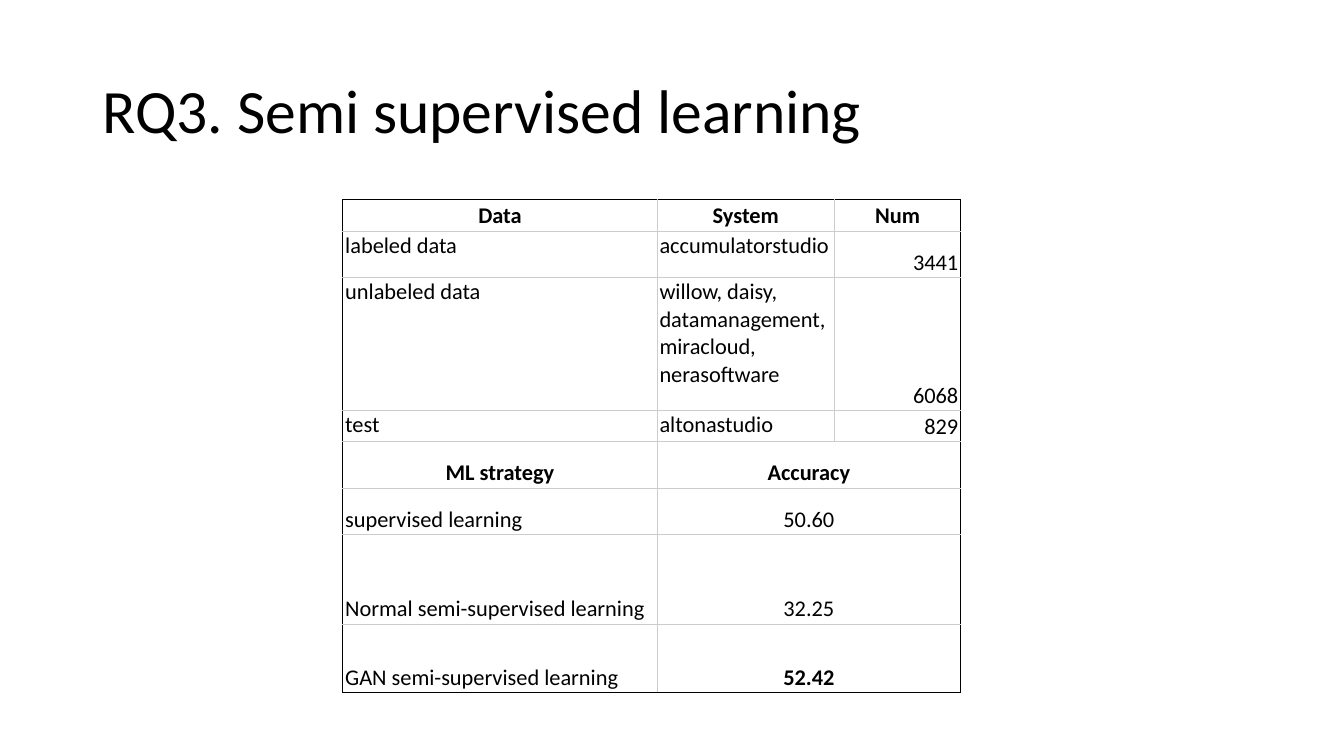
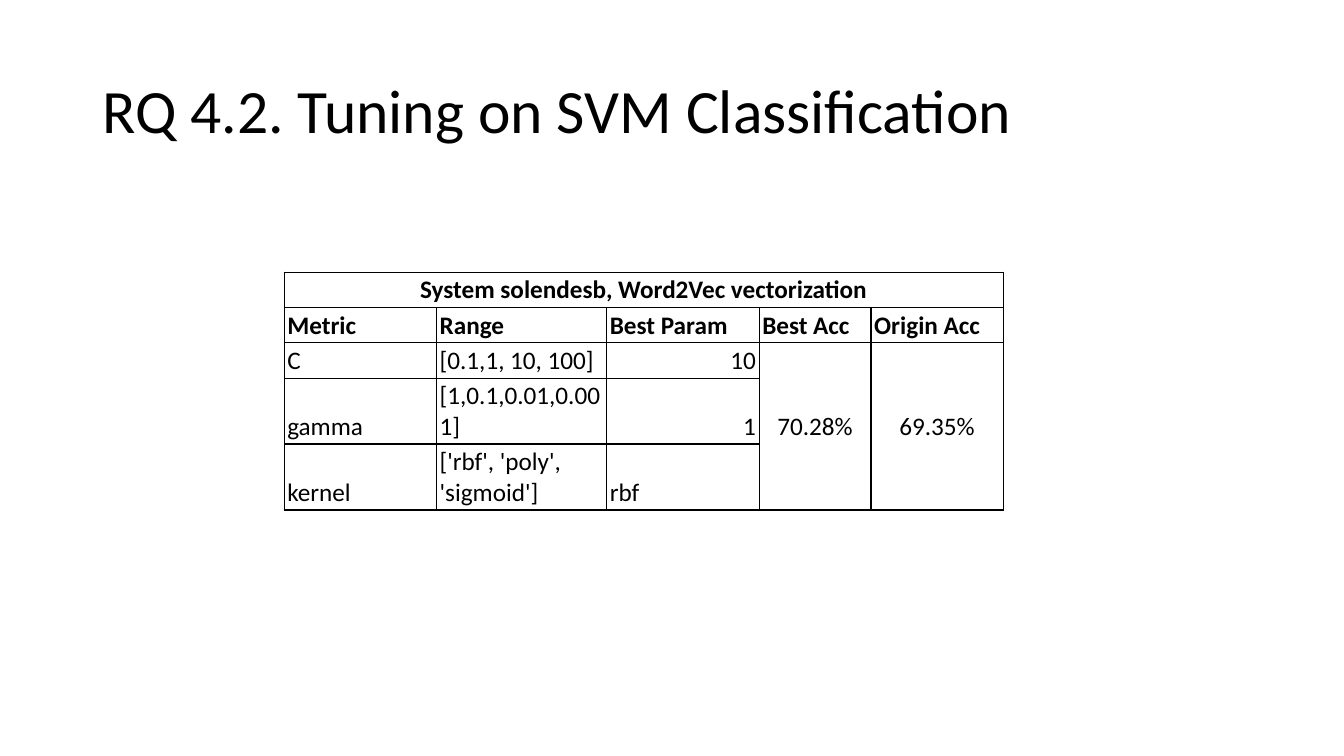
from lxml import etree
from pptx import Presentation
from pptx import util as u
from pptx.dml.color import RGBColor
from pptx.enum import text
from pptx.oxml.ns import qn

COLORS = {"ink": "000000", "grid": "CCCCCC"}
FONT = "Calibri"
ALIGN = {"l": text.PP_ALIGN.LEFT, "c": text.PP_ALIGN.CENTER, "r": text.PP_ALIGN.RIGHT}
ANCHOR = {"t": text.MSO_ANCHOR.TOP, "m": text.MSO_ANCHOR.MIDDLE, "b": text.MSO_ANCHOR.BOTTOM}

# Each row holds cell styles (alignment, anchor, * for bold) and cell texts
pages = [
    {
        "title": "RQ3. Semi supervised learning",
        "left": 8.64, "top": 5.03, "size": 16, "margins": (0.06, 0.03),
        "columns": [7.92, 4.47, 3.18],
        "heights": [0.79, 1.17, 3.35, 0.79, 1.17, 1.17, 2.26, 1.73],
        "inner": "grid", "line": 0.75,
        "merges": [(row, 1, row, 2) for row in range(4, 8)],
        "rows": [
            ("cb* cb* cb*", ["Data", "System", "Num"]),
            ("lt lt rb", ["labeled data", "accumulatorstudio", "3441"]),
            ("lt lt rb", ["unlabeled data",
                          "willow, daisy, datamanagement, miracloud, nerasoftware", "6068"]),
            ("lt lt rb", ["test", "altonastudio", "829"]),
            ("cb* cb* cb", ["ML strategy", "Accuracy", ""]),
            ("lb cb cb", ["supervised learning", "50.60", ""]),
            ("lb cb cb", ["Normal semi-supervised learning", "32.25", ""]),
            ("lb cb* cb", ["GAN semi-supervised learning", "52.42", ""]),
        ],
    },
    {
        "title": "RQ 4.2. Tuning on SVM Classification",
        "left": 7.16, "top": 6.86, "size": 18, "margins": (0.08, 0.05),
        "columns": [3.84, 4.29, 3.84, 2.82, 3.33],
        "heights": [0.89, 0.89, 0.89, 1.66, 1.66],
        "inner": "ink", "line": 1,
        "merges": [(0, 0, 0, 4), (2, 3, 4, 3), (2, 4, 4, 4)],
        "rows": [
            ("cb* cb cb cb cb", ["System solendesb, Word2Vec vectorization", "", "", "", ""]),
            ("lb* lb* lb* lb* lb*", ["Metric", "Range", "Best Param", "Best Acc", "Origin Acc"]),
            ("lb lb rb cm cm", ["C", "[0.1,1, 10, 100]", "10", "70.28%", "69.35%"]),
            ("lb lb rb cm cm", ["gamma", "[1,0.1,0.01,0.001]", "1", "", ""]),
            ("lb lb lb cm cm", ["kernel", "['rbf', 'poly', 'sigmoid']", "rbf", "", ""]),
        ],
    },
]


def style_paragraph(paragraph, size, bold=False):
    paragraph.font.name = FONT
    paragraph.font.size = u.Pt(size)
    paragraph.font.bold = bold
    paragraph.font.color.rgb = RGBColor.from_string(COLORS["ink"])


def set_borders(cell, colors, width):
    """Colours run left, right, top, bottom, the order the schema asks for."""
    properties = cell._tc.get_or_add_tcPr()
    for index, (side, color) in enumerate(zip("LRTB", colors)):
        line = etree.Element(qn(f"a:ln{side}"), w=str(u.Pt(width)))
        fill = etree.SubElement(line, qn("a:solidFill"))
        etree.SubElement(fill, qn("a:srgbClr"), val=COLORS[color])
        properties.insert(index, line)


presentation = Presentation()
presentation.slide_width = u.Cm(33.87)
presentation.slide_height = u.Cm(19.05)

for page in pages:
    slide = presentation.slides.add_slide(presentation.slide_layouts[6])

    # Title
    title = slide.shapes.add_textbox(u.Cm(2.33), u.Cm(1.02), u.Cm(29.21), u.Cm(3.68))
    title.text_frame.word_wrap = True
    title.text_frame.vertical_anchor = text.MSO_ANCHOR.MIDDLE
    paragraph = title.text_frame.paragraphs[0]
    paragraph.text = page["title"]
    paragraph.line_spacing = 0.9
    style_paragraph(paragraph, 44)

    # Table frame
    columns, heights = page["columns"], page["heights"]
    table = slide.shapes.add_table(
        len(heights), len(columns), u.Cm(page["left"]), u.Cm(page["top"]),
        u.Cm(sum(columns)), u.Cm(sum(heights))).table
    table.first_row = table.horz_banding = False
    for column, width in zip(table.columns, columns):
        column.width = u.Cm(width)
    for row, height in zip(table.rows, heights):
        row.height = u.Cm(height)
    for top, left, bottom, right in page["merges"]:
        table.cell(top, left).merge(table.cell(bottom, right))

    # Cells: dark outer frame, inner lines in the page's own colour
    side_margin, edge_margin = page["margins"]
    for r, (styles, values) in enumerate(page["rows"]):
        for c, (style, value) in enumerate(zip(styles.split(), values)):
            cell = table.cell(r, c)
            cell.fill.background()
            cell.margin_left = cell.margin_right = u.Cm(side_margin)
            cell.margin_top = cell.margin_bottom = u.Cm(edge_margin)
            cell.vertical_anchor = ANCHOR[style[1]]
            paragraph = cell.text_frame.paragraphs[0]
            if value:
                paragraph.text = value
            paragraph.alignment = ALIGN[style[0]]
            style_paragraph(paragraph, page["size"], style.endswith("*"))
            outer = (c == 0, c + cell.span_width >= len(columns),
                     r == 0, r + cell.span_height >= len(heights))
            set_borders(cell, ["ink" if edge else page["inner"] for edge in outer], page["line"])

presentation.save("out.pptx")
